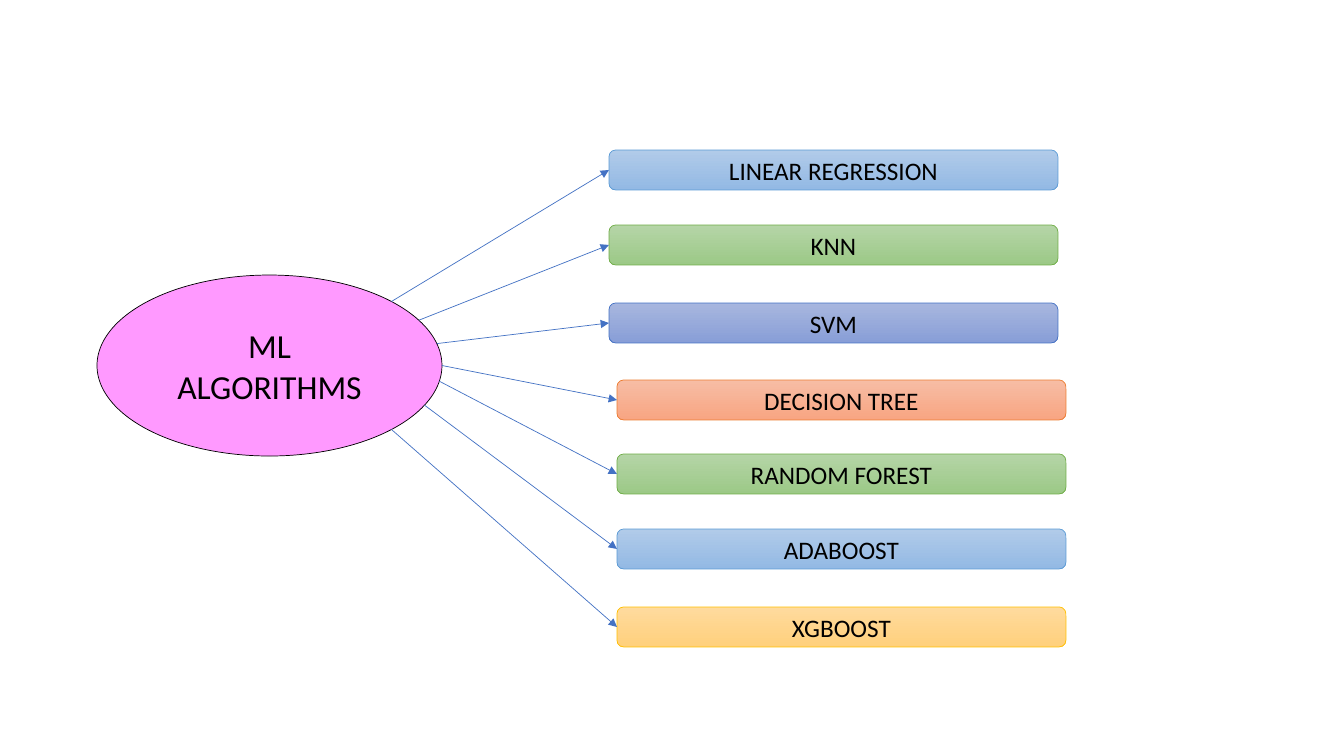
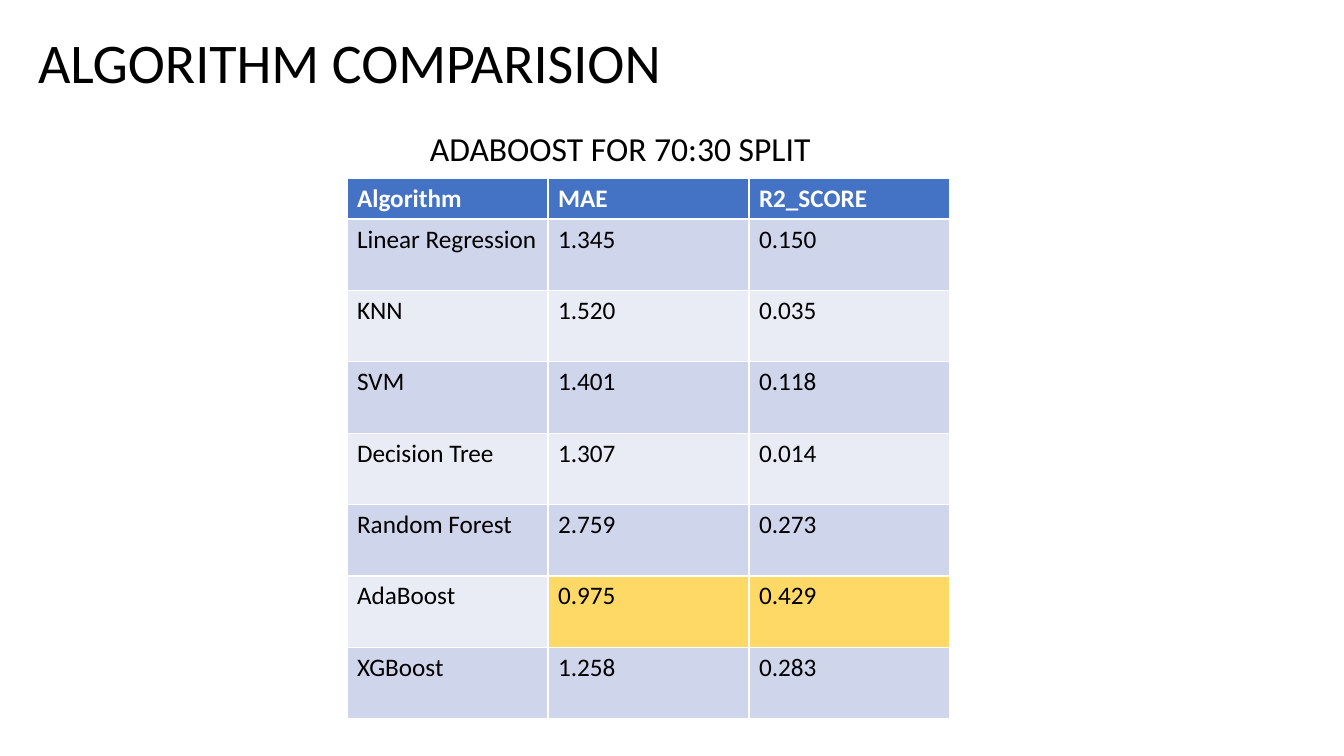
import math

from lxml import etree
from pptx import Presentation
from pptx import util as u
from pptx.dml.color import RGBColor
from pptx.enum import shapes, text
from pptx.oxml import ns

WIDE, HIGH = 1344, 756
SCALE = 12192000 / WIDE
FONT = "Calibri"
TINT = {
    "ink": "000000", "white": "FFFFFF", "pink": "FF99FF", "accent": "4472C4",
    "odd": "CFD5EA", "even": "E9EBF5", "best": "FFD966",
}
# top of gradient, foot of gradient, outline
BLEND = {
    "sky": ("B1CBE9", "93B9E4", "5B9BD5"),
    "green": ("B5D5A7", "9CC987", "70AD47"),
    "blue": ("A8B7DF", "889ED7", "4472C4"),
    "coral": ("F7BDA5", "F8A582", "ED7D31"),
    "gold": ("FFDB9E", "FFD07C", "FFC000"),
}
# label, blend, left, top, angle on the hub where its arrow starts
BARS = [
    ("LINEAR REGRESSION", "sky", 609, 150, -45),
    ("KNN", "green", 609, 225, -30),
    ("SVM", "blue", 609, 303, -14),
    ("DECISION TREE", "coral", 617, 380, 0),
    ("RANDOM FOREST", "green", 617, 454, 10),
    ("ADABOOST", "sky", 617, 529, 26),
    ("XGBOOST", "gold", 617, 607, 45),
]
SCORES = [
    ("Algorithm", "MAE", "R2_SCORE"),
    ("Linear Regression", "1.345", "0.150"),
    ("KNN", "1.520", "0.035"),
    ("SVM", "1.401", "0.118"),
    ("Decision Tree", "1.307", "0.014"),
    ("Random Forest", "2.759", "0.273"),
    ("AdaBoost", "0.975", "0.429"),
    ("XGBoost", "1.258", "0.283"),
]
BEST = "AdaBoost"


def px(*sizes):
    return [u.Emu(round(size * SCALE)) for size in sizes]


def rgb(code):
    return RGBColor.from_string(code)


def write(frame, words, size, color="ink", align=text.PP_ALIGN.LEFT, bold=False):
    frame.text = words
    para = frame.paragraphs[0]
    para.alignment = align
    style = {"name": FONT, "size": u.Pt(size), "bold": bold}
    for key, value in style.items():
        setattr(para.font, key, value)
    para.font.color.rgb = rgb(TINT[color])


def label(shape, words, size, **style):
    """Write into a text-bearing shape, wrapped and centred in height."""
    frame = shape.text_frame
    form = {"word_wrap": True, "auto_size": text.MSO_AUTO_SIZE.NONE,
            "vertical_anchor": text.MSO_ANCHOR.MIDDLE}
    for key, value in form.items():
        setattr(frame, key, value)
    write(frame, words, size, **style)


def node(slide, kind, box, words, size, edge):
    shape = slide.shapes.add_shape(kind, *px(*box))
    shape.shadow.inherit = False
    shape.line.color.rgb = rgb(edge)
    shape.line.width = u.Pt(0.5)
    label(shape, words, size, align=text.PP_ALIGN.CENTER)
    return shape


def draw_hub(slide, box):
    hub = node(slide, shapes.MSO_SHAPE.OVAL, box, "ML ALGORITHMS", 24, TINT["ink"])
    hub.fill.solid()
    hub.fill.fore_color.rgb = rgb(TINT["pink"])


def draw_bar(slide, box, words, blend):
    first, last, edge = BLEND[blend]
    bar = node(slide, shapes.MSO_SHAPE.ROUNDED_RECTANGLE, box, words, 18, edge)
    bar.fill.gradient()
    bar.fill.gradient_angle = 270
    for stop, code in zip(bar.fill.gradient_stops, (first, last)):
        stop.color.rgb = rgb(code)
    return bar


def draw_arrow(slide, hub, angle, bar):
    """Run from the point at this angle on the hub's rim to the bar's left side."""
    left, top, width, height = hub
    turn = math.radians(angle)
    x = left + width / 2 * (1 + math.cos(turn))
    y = top + height / 2 * (1 + math.sin(turn))
    start = px(x, y)
    arrow = slide.shapes.add_connector(shapes.MSO_CONNECTOR.STRAIGHT, *start, *start)
    arrow.end_connect(bar, 1)
    arrow.line.color.rgb = rgb(TINT["accent"])
    arrow.line.width = u.Pt(0.5)
    tip = etree.SubElement(arrow.line._get_or_add_ln(), ns.qn("a:tailEnd"))
    tip.set("type", "triangle")
    etree.SubElement(arrow._element.spPr, ns.qn("a:effectLst"))


def draw_map(slide):
    hub = (97, 275, 345, 181)
    draw_hub(slide, hub)
    for words, blend, left, top, angle in BARS:
        bar = draw_bar(slide, (left, top, 449, 40), words, blend)
        draw_arrow(slide, hub, angle, bar)


def draw_title(slide, box, words):
    title = slide.shapes.title
    for key, value in zip(("left", "top", "width", "height"), px(*box)):
        setattr(title, key, value)
    label(title, words, 40)


def shade(row, col):
    if row == 0:
        return "accent"
    if col and SCORES[row][0] == BEST:
        return "best"
    return "odd" if row % 2 else "even"


def draw_table(slide, box, head):
    height = box[3]
    count = len(SCORES)
    table = slide.shapes.add_table(count, len(SCORES[0]), *px(*box)).table
    sizes = px(head, *[(height - head) / (count - 1)] * (count - 1))
    for line, size in zip(table.rows, sizes):
        line.height = size
    for row, values in enumerate(SCORES):
        for col, value in enumerate(values):
            cell = table.cell(row, col)
            cell.fill.solid()
            cell.fill.fore_color.rgb = rgb(TINT[shade(row, col)])
            write(cell.text_frame, value, 18, bold=row == 0,
                  color="ink" if row else "white")


def draw_scores(slide):
    draw_title(slide, (28, 22, 1151, 78), "ALGORITHM COMPARISION")
    note = slide.shapes.add_textbox(*px(420, 123, 620, 50))
    label(note, "ADABOOST FOR 70:30 SPLIT", 24)
    draw_table(slide, (347, 178, 603, 541), 41)


def main():
    deck = Presentation()
    deck.slide_width, deck.slide_height = px(WIDE, HIGH)
    blank, titled = deck.slide_layouts[6], deck.slide_layouts[5]
    draw_map(deck.slides.add_slide(blank))
    draw_scores(deck.slides.add_slide(titled))
    deck.save("out.pptx")


if __name__ == "__main__":
    main()
